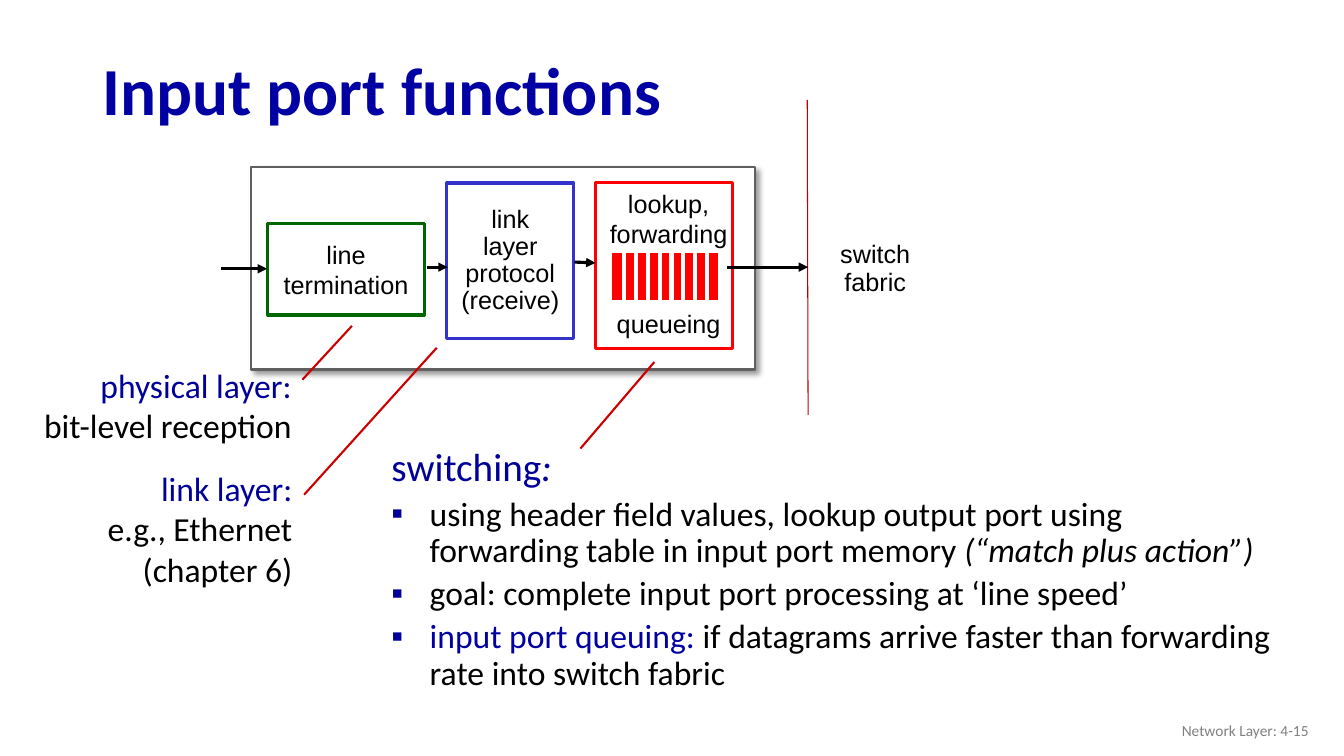
"""Build the slide on input port functions of a router."""
import lxml.etree
import pptx
import pptx.dml.color
import pptx.enum.shapes
import pptx.enum.text
import pptx.oxml
import pptx.oxml.ns
import pptx.util

COLUMNS, ROWS = 160, 90
WIDTH, HEIGHT = pptx.util.Inches(13.33), pptx.util.Inches(7.5)
COLORS = {
    "title": "0000A3", "term": "000099", "text": "000000", "paper": "FFFFFF",
    "housing": "5F5F5F", "physical": "006600", "link": "3333CC",
    "switching": "FF0000", "pointer": "CC0000", "border": "C00000",
    "footer": "808080",
}
ALIGN = pptx.enum.text.PP_ALIGN
ANCHOR = pptx.enum.text.MSO_ANCHOR
DIAGRAM_FONT, TEXT_FONT = "Arial", "Calibri"
STEPS = [
    ("line\ntermination", (31.9, 26.6, 18.6, 10.9), "physical", 1.0),
    ("link\nlayer\nprotocol\n(receive)", (53.2, 21.8, 15.1, 18.5), "link", 0.9),
]
FLOWS = [
    (26.3, 32, 31.8, 32), (50.8, 31.8, 53.3, 31.8),
    (68.4, 31.2, 70.9, 31.3), (86.6, 31.8, 96.2, 31.8),
]
POINTERS = [
    (36, 45.2, 41.9, 38.8), (36.2, 58.9, 52, 41.4), (69.1, 53.4, 77.9, 43.1),
]
LABELS = [
    ("physical layer:\nbit-level reception", (3.4, 42.8, 32.5, 10.9)),
    ("link layer:\ne.g., Ethernet\n(chapter 6)", (11.4, 55.1, 24.6, 15.7)),
]
SWITCHING = [
    [("switching", "term", 28, False), (":", "term", 28, True)],
    [("using header field values, lookup output port using forwarding table "
      "in input port memory ", "text", 24, False),
     ("(“match plus action”)", "text", 24, True)],
    [("goal: complete input port processing at ‘line speed’", "text", 24, False)],
    [("input port queuing: ", "title", 24, False),
     ("if datagrams arrive faster than forwarding rate into switch fabric",
      "text", 24, False)],
]


def rgb(name):
    """Return the named colour."""
    return pptx.dml.color.RGBColor.from_string(COLORS[name])


def across(columns):
    """Turn grid columns into a length."""
    return round(WIDTH * columns / COLUMNS)


def down(rows):
    """Turn grid rows into a length."""
    return round(HEIGHT * rows / ROWS)


def place(cells):
    """Turn left, top, width and height in grid cells into lengths."""
    left, top, width, height = cells
    return across(left), down(top), across(width), down(height)


def move(holder, cells):
    """Put a placeholder on the grid."""
    holder.left, holder.top, holder.width, holder.height = place(cells)


def style(run, font, size, color, bold=False, italic=False):
    """Format one run."""
    run.font.name = font
    run.font.size = pptx.util.Pt(size)
    run.font.color.rgb = rgb(color)
    run.font.bold = bold
    run.font.italic = italic


def write(holder, words, font, size, colors, align, anchor=ANCHOR.MIDDLE,
          spacing=1.0, wrap=False, bold=False):
    """Fill a text frame, the last colour serving all remaining paragraphs."""
    frame = holder.text_frame
    frame.text = words
    frame.word_wrap = wrap
    frame.vertical_anchor = anchor
    for index, paragraph in enumerate(frame.paragraphs):
        paragraph.alignment = align
        paragraph.line_spacing = spacing
        for run in paragraph.runs:
            style(run, font, size, colors[min(index, len(colors) - 1)], bold)
    return frame


def add_box(slide, cells, line, weight, fill=None):
    """Add a rectangle without a shadow."""
    box = slide.shapes.add_shape(
        pptx.enum.shapes.MSO_SHAPE.RECTANGLE, *place(cells))
    box.shadow.inherit = False
    box.line.color.rgb = rgb(line)
    box.line.width = pptx.util.Pt(weight)
    if fill:
        box.fill.solid()
        box.fill.fore_color.rgb = rgb(fill)
    else:
        box.fill.background()
    return box


def add_line(slide, ends, color, weight, arrow=False):
    """Add a straight line, with an arrowhead at its end on request."""
    x1, y1, x2, y2 = ends
    line = slide.shapes.add_connector(
        pptx.enum.shapes.MSO_CONNECTOR.STRAIGHT,
        across(x1), down(y1), across(x2), down(y2))
    line.line.color.rgb = rgb(color)
    line.line.width = pptx.util.Pt(weight)
    properties = line._element.spPr
    if arrow:
        lxml.etree.SubElement(
            line.line._get_or_add_ln(), pptx.oxml.ns.qn("a:tailEnd"),
            type="triangle")
    lxml.etree.SubElement(properties, pptx.oxml.ns.qn("a:effectLst"))


def add_text(slide, cells, words, *args, **kwargs):
    """Add a text box."""
    return write(slide.shapes.add_textbox(*place(cells)), words, *args, **kwargs)


def add_housing(slide):
    """Add the port frame with its soft shadow."""
    housing = add_box(slide, (29.9, 19.9, 60, 24.1), "housing", 1.5, "paper")
    effects = housing._element.spPr.find(pptx.oxml.ns.qn("a:effectLst"))
    effects.append(pptx.oxml.parse_xml(
        f'<a:outerShdw {pptx.oxml.ns.nsdecls("a")} blurRad="50800" '
        'dist="38100" dir="2700000" algn="tl" rotWithShape="0">'
        f'<a:srgbClr val="{COLORS["text"]}"><a:alpha val="40000"/></a:srgbClr>'
        '</a:outerShdw>'))


def add_queue(slide):
    """Add the lookup and queueing step with its sliced buffer."""
    words = add_text(slide, (71.4, 21.8, 16.4, 19.2),
                     "lookup,\nforwarding\nqueueing", DIAGRAM_FONT, 18,
                     ["text"], ALIGN.CENTER, ANCHOR.TOP)
    words.paragraphs[2].space_before = pptx.util.Pt(43)
    add_box(slide, (72.6, 29.9, 13.1, 6.1), "paper", 3, "switching")
    for slot in range(8):
        x = 74.3 + 1.41 * slot
        add_line(slide, (x, 30, x, 35.9), "paper", 3)
    add_box(slide, (70.9, 21.7, 16.3, 19.8), "switching", 2.25)


def add_bullet(paragraph, shown):
    """Set the hanging indent and the square bullet of a paragraph."""
    properties = paragraph._p.get_or_add_pPr()
    indent = pptx.util.Inches(0.38)
    properties.set("marL", str(indent))
    properties.set("indent", str(-indent))
    if shown:
        color = lxml.etree.SubElement(properties, pptx.oxml.ns.qn("a:buClr"))
        lxml.etree.SubElement(
            color, pptx.oxml.ns.qn("a:srgbClr"), val=COLORS["term"])
        lxml.etree.SubElement(
            properties, pptx.oxml.ns.qn("a:buChar"), char="▪")
    else:
        lxml.etree.SubElement(properties, pptx.oxml.ns.qn("a:buNone"))


def fill_switching(body):
    """Write the switching list into the body placeholder."""
    move(body, (45.4, 52.7, 107.5, 35))
    frame = body.text_frame
    frame.word_wrap = True
    frame.auto_size = pptx.enum.text.MSO_AUTO_SIZE.NONE
    for index, pieces in enumerate(SWITCHING):
        paragraph = frame.add_paragraph() if index else frame.paragraphs[0]
        add_bullet(paragraph, index > 0)
        paragraph.line_spacing = 0.9
        paragraph.space_before = pptx.util.Pt(5 if index else 0)
        for words, color, size, italic in pieces:
            run = paragraph.add_run()
            run.text = words
            style(run, TEXT_FONT, size, color, italic=italic)


def main():
    """Build and save the slide."""
    deck = pptx.Presentation()
    deck.slide_width, deck.slide_height = WIDTH, HEIGHT
    slide = deck.slides.add_slide(deck.slide_layouts[1])
    title, body = slide.placeholders
    move(title, (11, 5.3, 138, 11.8))
    write(title, "Input port functions", TEXT_FONT, 48, ["title"], ALIGN.LEFT,
          spacing=0.9, wrap=True, bold=True)
    fill_switching(body)
    add_housing(slide)
    for words, cells, color, spacing in STEPS:
        write(add_box(slide, cells, color, 2.25), words, DIAGRAM_FONT, 18,
              ["text"], ALIGN.CENTER, spacing=spacing)
    add_queue(slide)
    add_line(slide, (96.1, 11.9, 96.2, 49.4), "border", 0.75)
    for ends in FLOWS:
        add_line(slide, ends, "text", 2.25, arrow=True)
    for ends in POINTERS:
        add_line(slide, ends, "pointer", 1.5)
    add_text(slide, (97.3, 26.6, 13.8, 10.9), "switch\nfabric", DIAGRAM_FONT,
             18, ["text"], ALIGN.CENTER, spacing=0.9)
    for words, cells in LABELS:
        add_text(slide, cells, words, TEXT_FONT, 24, ["term", "text"],
                 ALIGN.RIGHT, ANCHOR.TOP)
    add_text(slide, (121, 84.6, 36, 4.8), "Network Layer: 4-15", TEXT_FONT, 11,
             ["footer"], ALIGN.RIGHT, wrap=True)
    deck.save("out.pptx")


if __name__ == "__main__":
    main()
